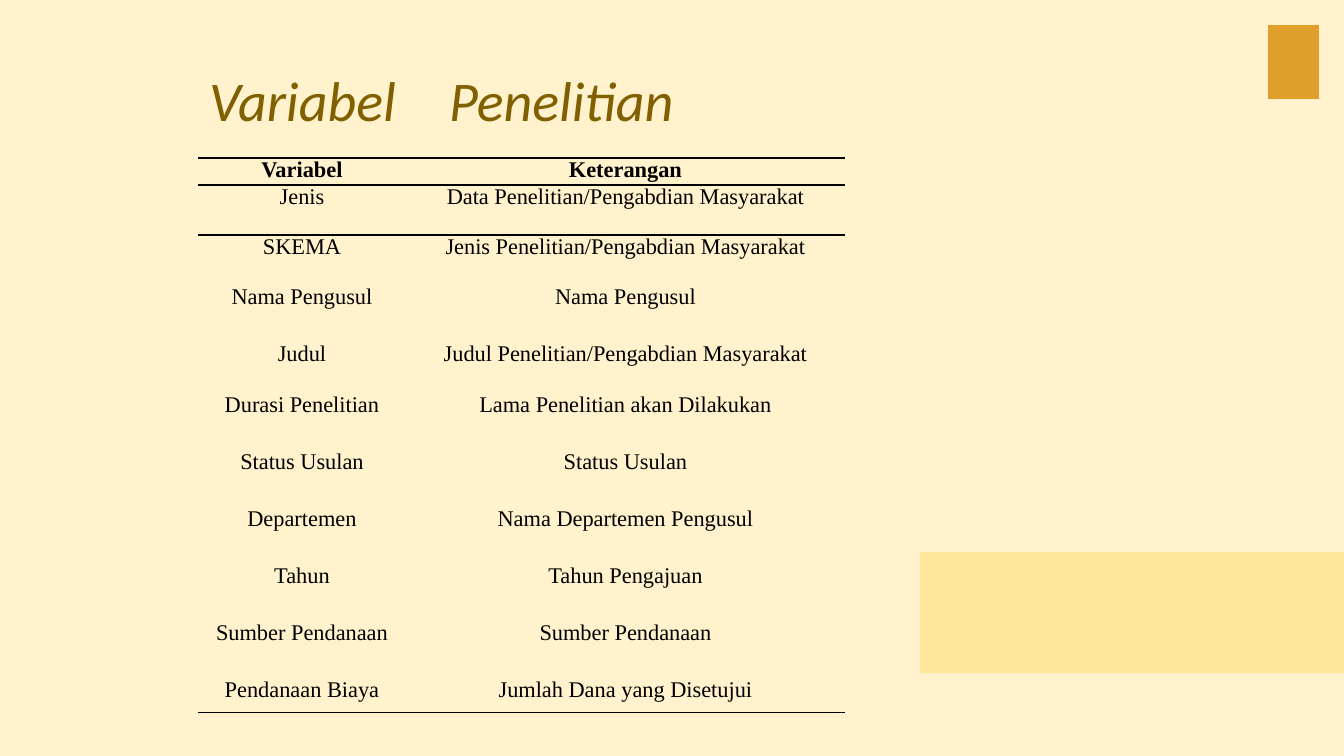
from dataclasses import dataclass

from lxml import etree
from pptx import Presentation
from pptx.dml.color import RGBColor
from pptx.enum.shapes import MSO_SHAPE
from pptx.enum.text import MSO_ANCHOR, MSO_AUTO_SIZE, PP_ALIGN
from pptx.oxml.ns import qn
from pptx.slide import Slide
from pptx.table import _Cell
from pptx.text.text import TextFrame
from pptx.util import Emu, Pt

RECT = MSO_SHAPE.RECTANGLE
TOP = MSO_ANCHOR.TOP
FIXED = MSO_AUTO_SIZE.NONE
LEFT = PP_ALIGN.LEFT
CENTER = PP_ALIGN.CENTER
PLAIN = "{2D5ABB26-0587-4C30-8999-92F81FD0307C}"


@dataclass(frozen=True)
class Theme:
    back: str = "FFF2CC"
    gold: str = "E09F2B"
    sand: str = "FFE699"
    head: str = "806000"
    ink: str = "000000"
    sans: str = "Calibri"
    serif: str = "Times New Roman"
    title: int = 40
    body: int = 16


@dataclass(frozen=True)
class Block:
    x: int
    y: int
    w: int
    h: int
    color: str


@dataclass(frozen=True)
class Row:
    name: str
    note: str
    h: int


THEME = Theme()
BLOCKS = [
    Block(1268, 25, 51, 74, THEME.gold),
    Block(920, 552, 424, 121, THEME.sand),
]
COLS = [208, 439]
ROWS = [
    Row("Variabel", "Keterangan", 27),
    Row("Jenis", "Data Penelitian/Pengabdian Masyarakat", 50),
    Row("SKEMA", "Jenis Penelitian/Pengabdian Masyarakat", 50),
    Row("Nama Pengusul", "Nama Pengusul", 57),
    Row("Judul", "Judul Penelitian/Pengabdian Masyarakat", 51),
    Row("Durasi Penelitian", "Lama Penelitian akan Dilakukan", 57),
    Row("Status Usulan", "Status Usulan", 57),
    Row("Departemen", "Nama Departemen Pengusul", 57),
    Row("Tahun", "Tahun Pengajuan", 57),
    Row("Sumber Pendanaan", "Sumber Pendanaan", 57),
    Row("Pendanaan Biaya", "Jumlah Dana yang Disetujui", 35),
]


def px(n: int) -> Emu:
    return Emu(round(n * 12192000 / 1344))


def write(frame: TextFrame, text: str, *, font: str, size: int, color: str,
          bold: bool = False, italic: bool = False,
          align: PP_ALIGN = LEFT, tab: int = 0) -> None:
    para = frame.paragraphs[0]
    para.alignment = align
    if tab:
        tabs = etree.SubElement(para._p.get_or_add_pPr(), qn("a:tabLst"))
        etree.SubElement(tabs, qn("a:tab"), pos=str(px(tab)), algn="l")
    run = para.add_run()
    run.text = text
    run.font.name = font
    run.font.size = Pt(size)
    run.font.bold = bold
    run.font.italic = italic
    run.font.color.rgb = RGBColor.from_string(color)


def draw(slide: Slide, block: Block) -> None:
    shape = slide.shapes.add_shape(
        RECT, px(block.x), px(block.y), px(block.w), px(block.h))
    shape.shadow.inherit = False
    shape.fill.solid()
    shape.fill.fore_color.rgb = RGBColor.from_string(block.color)
    shape.line.fill.background()


def rule(cell: _Cell, sides: list[str]) -> None:
    props = cell._tc.get_or_add_tcPr()
    for i, side in enumerate(sides):
        line = etree.Element(qn(f"a:{side}"), w=str(Pt(1)))
        fill = etree.SubElement(line, qn("a:solidFill"))
        etree.SubElement(fill, qn("a:srgbClr"), val=THEME.ink)
        props.insert(i, line)


def add_title(slide: Slide) -> None:
    title = slide.shapes.title
    title.left, title.top = px(199), px(60)
    title.width, title.height = px(615), px(78)
    frame = title.text_frame
    frame.word_wrap = True
    frame.auto_size = FIXED
    frame.vertical_anchor = TOP
    write(frame, "Variabel\tPenelitian", font=THEME.sans, size=THEME.title,
          color=THEME.head, italic=True, tab=240)


def add_grid(slide: Slide) -> None:
    high = sum(row.h for row in ROWS)
    table = slide.shapes.add_table(
        len(ROWS), len(COLS), px(198), px(158), px(sum(COLS)), px(high)).table
    table.horz_banding = False
    table._tbl.tblPr.find(qn("a:tableStyleId")).text = PLAIN
    for col, wide in zip(table.columns, COLS):
        col.width = px(wide)
    last = len(ROWS) - 1
    edges = {0: ["lnT", "lnB"], 1: ["lnT"], last: ["lnB"]}
    for r, row in enumerate(ROWS):
        table.rows[r].height = px(row.h)
        for c, text in enumerate((row.name, row.note)):
            cell = table.cell(r, c)
            cell.margin_left = cell.margin_right = px(7)
            cell.margin_top = cell.margin_bottom = 0
            cell.vertical_anchor = TOP
            cell.fill.background()
            rule(cell, edges.get(r, []))
            write(cell.text_frame, text, font=THEME.serif, size=THEME.body,
                  color=THEME.ink, bold=r == 0, align=CENTER)


def main() -> None:
    deck = Presentation()
    deck.slide_width, deck.slide_height = px(1344), px(756)
    slide = deck.slides.add_slide(deck.slide_layouts.get_by_name("Title Only"))
    slide.background.fill.solid()
    slide.background.fill.fore_color.rgb = RGBColor.from_string(THEME.back)
    for block in BLOCKS:
        draw(slide, block)
    add_title(slide)
    add_grid(slide)
    deck.save("out.pptx")


if __name__ == "__main__":
    main()
